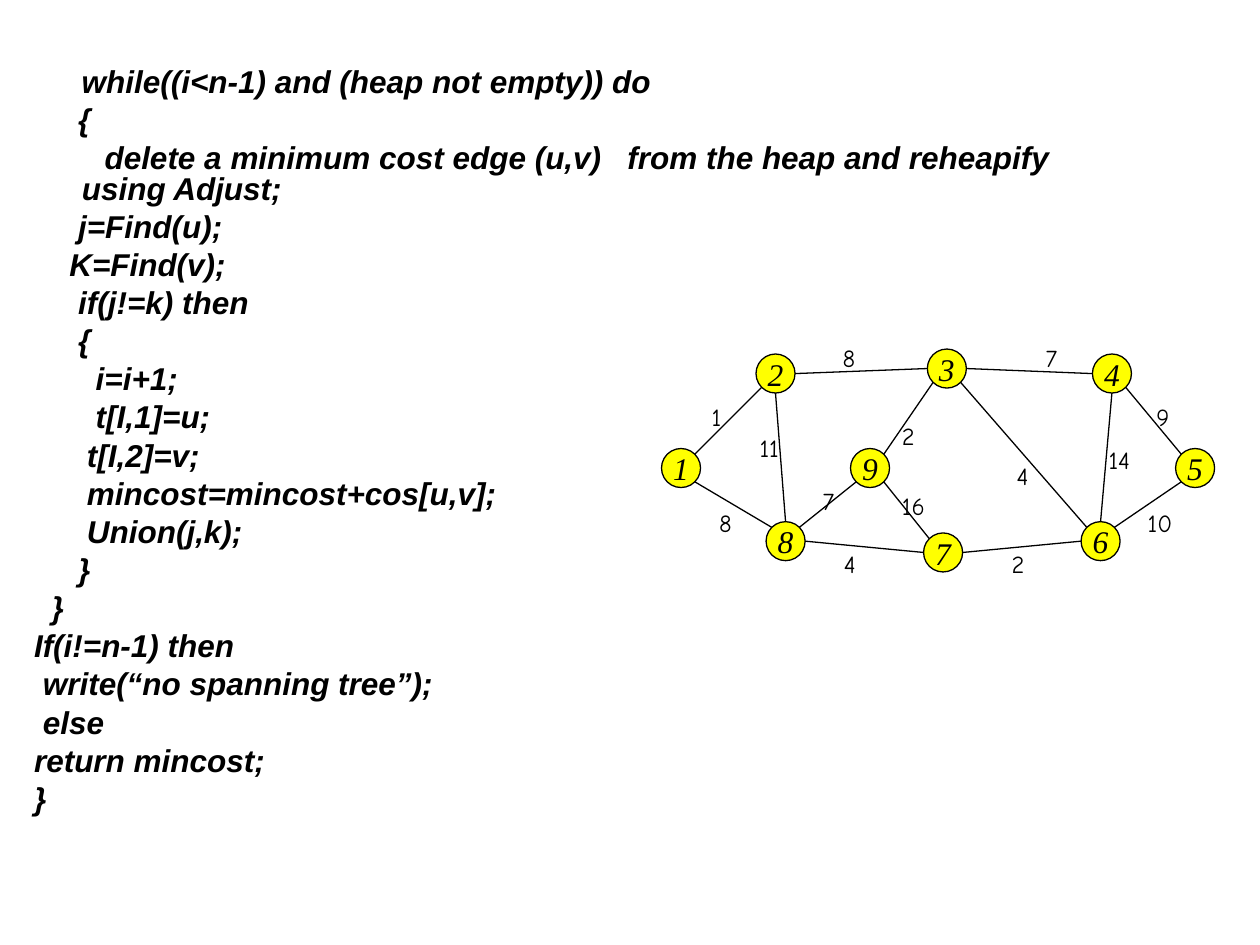
from pptx import Presentation, util as u
from pptx.dml.color import RGBColor
from pptx.enum import shapes, text
from pptx.oxml.ns import qn
from lxml import etree

BLACK, YELLOW = "000000", "FFFF00"
SPACE = 0.07
HANGING = 0.38
DIAMETER = 0.31
LABEL_HEIGHT = 0.34
LABEL_WIDTHS = {1: 0.3, 2: 0.4}

CODE = [
    (5.4, "while((i<n-1) and (heap not empty)) do"),
    (5, "{"),
    (8, "delete a minimum cost edge (u,v)   from the heap and reheapify using Adjust;"),
    (5, "j=Find(u);"),
    (4, "K=Find(v);"),
    (5, "if(j!=k) then"),
    (5, "{"),
    (7, "i=i+1;"),
    (7, "t[I,1]=u;"),
    (6, "t[I,2]=v;"),
    (6, "mincost=mincost+cos[u,v];"),
    (6, "Union(j,k);"),
    (5, "}"),
    (2, "}"),
    (0, "If(i!=n-1) then"),
    (1, "write(“no spanning tree”);"),
    (1, "else"),
    (0, "return mincost;"),
    (0, "}"),
]

NODES = {
    1: (0, 0.89), 2: (0.75, 0.14), 3: (2.11, 0.1),
    4: (3.42, 0.14), 5: (4.08, 0.89), 6: (3.33, 1.47),
    7: (2.08, 1.56), 8: (0.83, 1.47), 9: (1.5, 0.89),
}

SITES = {
    "N": (0.5, 0), "S": (0.5, 1), "W": (0, 0.5), "E": (1, 0.5),
    "NW": (0.15, 0.15), "NE": (0.85, 0.15),
    "SW": (0.15, 0.85), "SE": (0.85, 0.85),
}

EDGES = [
    (1, "NE", 2, "SW", "1", 0.3, 0.47),
    (1, "SE", 8, "NW", "8", 0.36, 1.31),
    (8, "N", 2, "S", "11", 0.68, 0.72),
    (8, "NE", 9, "SW", "7", 1.18, 1.14),
    (9, "NE", 3, "SW", "2", 1.81, 0.62),
    (9, "SE", 7, "NW", "16", 1.81, 1.18),
    (3, "E", 4, "W", "7", 2.95, 0),
    (7, "E", 6, "W", "2", 2.68, 1.64),
    (6, "N", 4, "S", "14", 3.45, 0.81),
    (3, "SE", 6, "NW", "4", 2.72, 0.94),
    (2, "E", 3, "W", "8", 1.34, 0),
    (4, "SE", 5, "NW", "9", 3.83, 0.47),
    (6, "NE", 5, "SW", "10", 3.76, 1.31),
    (8, "E", 7, "W", "4", 1.35, 1.64),
]


def rgb(value):
    """Return the colour for a hex string."""
    return RGBColor.from_string(value)


def style(p, size, font, bold=False, italic=False):
    """Format every run of a paragraph."""
    for r in p.runs:
        r.font.size, r.font.name = u.Pt(size), font
        r.font.bold, r.font.italic = bold, italic
        r.font.color.rgb = rgb(BLACK)


def add_code(s, left, top, width, height):
    """Fill the body placeholder with the indented algorithm."""
    sp = s.placeholders[1]
    sp.left, sp.top, sp.width, sp.height = map(u.Inches, (left, top, width, height))
    tf = sp.text_frame
    tf.auto_size = text.MSO_AUTO_SIZE.NONE
    for i, (spaces, line) in enumerate(CODE):
        p = tf.add_paragraph() if i else tf.paragraphs[0]
        p.text = line
        p.line_spacing, p.space_before = 0.8, u.Pt(4.5)
        pPr = p._p.get_or_add_pPr()
        pPr.set("marL", str(u.Inches(HANGING)))
        pPr.set("indent", str(u.Inches(spaces * SPACE - HANGING)))
        etree.SubElement(pPr, qn("a:buNone"))
        style(p, 18, "Arial", bold=True, italic=True)


def add_node(s, number, left, top):
    """Draw one numbered vertex."""
    sp = s.shapes.add_shape(shapes.MSO_SHAPE.OVAL, u.Inches(left), u.Inches(top),
                            u.Inches(DIAMETER), u.Inches(DIAMETER))
    sp.shadow.inherit = False
    sp.fill.solid()
    sp.fill.fore_color.rgb = rgb(YELLOW)
    sp.line.color.rgb = rgb(BLACK)
    sp.line.width = u.Pt(0.75)
    tf = sp.text_frame
    tf.text = str(number)
    tf.word_wrap = False
    tf.vertical_anchor = text.MSO_ANCHOR.MIDDLE
    p = tf.paragraphs[0]
    p.alignment = text.PP_ALIGN.CENTER
    style(p, 18, "Times New Roman", italic=True)


def site_point(node, site, left, top):
    """Locate a compass site on the rim of a vertex."""
    (x, y), (dx, dy) = NODES[node], SITES[site]
    return u.Inches(left + x + dx * DIAMETER), u.Inches(top + y + dy * DIAMETER)


def add_edge(s, start, end):
    """Draw a line between two points."""
    line = s.shapes.add_connector(shapes.MSO_CONNECTOR.STRAIGHT, *start, *end)
    line.line.color.rgb = rgb(BLACK)
    line.line.width = u.Pt(0.75)
    etree.SubElement(line._element.spPr, qn("a:effectLst"))


def add_weight(s, weight, left, top):
    """Write the cost of an edge."""
    sp = s.shapes.add_textbox(u.Inches(left), u.Inches(top),
                              u.Inches(LABEL_WIDTHS[len(weight)]), u.Inches(LABEL_HEIGHT))
    tf = sp.text_frame
    tf.text = weight
    tf.word_wrap = False
    tf.auto_size = text.MSO_AUTO_SIZE.SHAPE_TO_FIT_TEXT
    style(tf.paragraphs[0], 14, "Comic Neue")


def add_graph(s, left, top):
    """Draw the weighted graph from its top-left corner."""
    for number, (x, y) in NODES.items():
        add_node(s, number, left + x, top + y)
    for a, a_site, b, b_site, *_ in EDGES:
        add_edge(s, site_point(a, a_site, left, top), site_point(b, b_site, left, top))
    for *_, weight, x, y in EDGES:
        add_weight(s, weight, left + x, top + y)


def main():
    """Build and save the slide."""
    prs = Presentation()
    prs.slide_width, prs.slide_height = u.Inches(10), u.Inches(7.5)
    s = prs.slides.add_slide(prs.slide_layouts[1])
    title = s.shapes.title._element
    title.getparent().remove(title)
    add_code(s, 0.17, 0.5, 8.5, 6.17)
    add_graph(s, 5.25, 2.67)
    prs.save("out.pptx")


if __name__ == "__main__":
    main()
